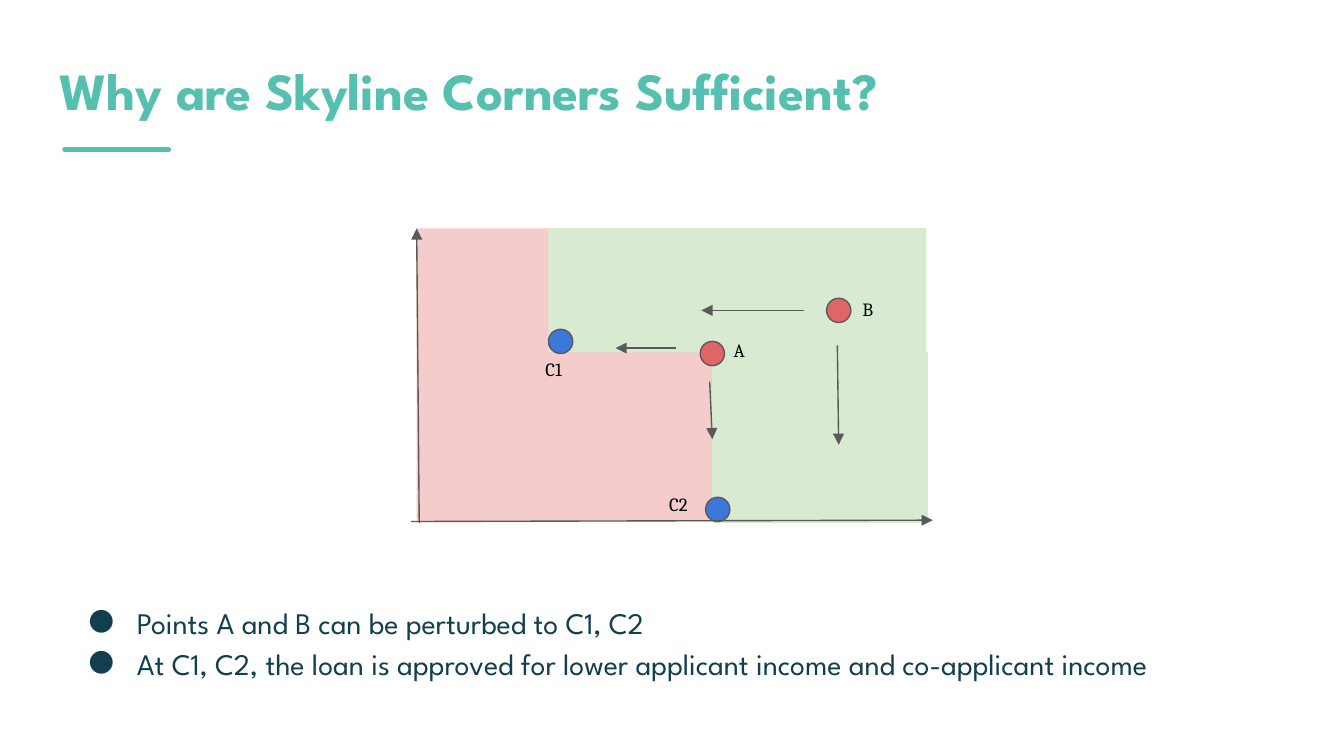
from lxml import etree
from pptx import Presentation
from pptx.dml.color import RGBColor
from pptx.enum.shapes import MSO_CONNECTOR as Connector, MSO_SHAPE as Shape
from pptx.enum.text import MSO_ANCHOR as Anchor, MSO_AUTO_SIZE as AutoSize, PP_ALIGN as Align
from pptx.oxml.ns import qn
from pptx.util import Pt

TEAL, NAVY, GRAY, BLACK = "55C0AF", "113F4E", "595959", "000000"
PINK, GREEN, BLUE, RED = "F4CCCC", "D9EAD3", "3C78D8", "E06666"
HEADING_FONT, LABEL_FONT = "League Spartan", "Cambria"
DOT = 13


def color(value):
    return RGBColor.from_string(value)


def style_font(font, name, size, value, bold=False):
    font.name, font.size, font.bold = name, Pt(size), bold
    font.color.rgb = color(value)


def place(shape, left, top, width, height):
    shape.left, shape.top = Pt(left), Pt(top)
    shape.width, shape.height = Pt(width), Pt(height)


def set_frame(frame, anchor):
    frame.word_wrap = True
    frame.vertical_anchor = anchor
    frame.margin_left = frame.margin_right = Pt(7.2)
    frame.margin_top = frame.margin_bottom = Pt(7.2)


def add_filled(page, kind, left, top, width, height, fill, outline=None, weight=0.75):
    shape = page.shapes.add_shape(kind, Pt(left), Pt(top), Pt(width), Pt(height))
    shape.shadow.inherit = False
    shape.fill.solid()
    shape.fill.fore_color.rgb = color(fill)
    if outline:
        shape.line.color.rgb = color(outline)
        shape.line.width = Pt(weight)
    else:
        shape.line.fill.background()


def add_line(page, x1, y1, x2, y2, value, weight):
    line = page.shapes.add_connector(Connector.STRAIGHT, Pt(x1), Pt(y1), Pt(x2), Pt(y2))
    line.line.color.rgb = color(value)
    line.line.width = Pt(weight)
    etree.SubElement(line._element.spPr, qn("a:effectLst"))
    return line


def add_arrow(page, x1, y1, x2, y2):
    arrow = add_line(page, x1, y1, x2, y2, GRAY, 0.75)
    etree.SubElement(arrow.line._get_or_add_ln(), qn("a:tailEnd"), type="triangle")


def add_label(page, text, left, top, width):
    box = page.shapes.add_textbox(Pt(left), Pt(top), Pt(width), Pt(26.6))
    set_frame(box.text_frame, Anchor.TOP)
    box.text_frame.auto_size = AutoSize.SHAPE_TO_FIT_TEXT
    para = box.text_frame.paragraphs[0]
    para.text = text
    style_font(para.font, LABEL_FONT, 10, BLACK)


def fill_title(page, text, left, top, width, height):
    """Title with a short rounded rule under it."""
    title = page.shapes.title
    place(title, left, top, width, height)
    set_frame(title.text_frame, Anchor.MIDDLE)
    title.text_frame.auto_size = AutoSize.NONE
    para = title.text_frame.paragraphs[0]
    para.text = text
    para.alignment = Align.LEFT
    style_font(para.font, HEADING_FONT, 28, TEAL, bold=True)
    rule_y = top + height - 1.2
    rule = add_line(page, left + 10, rule_y, left + 66, rule_y, TEAL, 2.25)
    rule.line._get_or_add_ln().set("cap", "rnd")


def fill_bullets(page, items, left, top, width, height):
    body = page.placeholders[1]
    place(body, left, top, width, height)
    frame = body.text_frame
    set_frame(frame, Anchor.TOP)
    frame.auto_size = AutoSize.NONE
    frame.text = "\n".join(items)
    for para in frame.paragraphs:
        para.line_spacing = 1.15
        para.space_before = para.space_after = Pt(0)
        props = para._p.get_or_add_pPr()
        props.set("marL", str(Pt(36)))
        props.set("indent", str(Pt(-26)))
        bullet_color = etree.SubElement(props, qn("a:buClr"))
        etree.SubElement(bullet_color, qn("a:srgbClr"), val=NAVY)
        etree.SubElement(props, qn("a:buFont"), typeface=HEADING_FONT)
        etree.SubElement(props, qn("a:buChar"), char="●")
        style_font(para.font, HEADING_FONT, 16, NAVY)


def draw_skyline(page, left, top, width, height):
    """Rejected (pink) and approved (green) regions, with points and moves."""
    step_x, step_y, corner_x = 70.6, 66.5, 159.1
    add_filled(page, Shape.RECTANGLE, left, top, width, height, PINK)
    add_filled(page, Shape.RECTANGLE, left + step_x, top, width - step_x, step_y, GREEN)
    add_filled(page, Shape.RECTANGLE, left + corner_x, top + step_y + 0.5,
               width - corner_x + 0.6, height - step_y - 0.5, GREEN, GREEN, 1.5)

    # name, dot x and y, fill, label x and y, label width
    points = [
        ("C1", 70.6, 54, BLUE, 61.9, 63.4, 36.7),
        ("A", 151.9, 60.5, RED, 162.7, 53.3, 23.8),
        ("B", 219.6, 37.4, RED, 231.8, 31, 23.8),
        ("C2", 154.8, 144, BLUE, 128.2, 135.4, 36.7),
    ]
    for name, x, y, fill, label_x, label_y, label_width in points:
        add_filled(page, Shape.OVAL, left + x, top + y, DOT, DOT, fill, GRAY)
        add_label(page, name, left + label_x, top + label_y, label_width)

    moves = [
        (139, 64.1, 106.6, 64.1),
        (157, 82.1, 158.4, 112.9),
        (207.4, 43.9, 152.6, 43.9),
        (225.4, 62.6, 226.1, 115.9),
    ]
    axes = [(1.4, height + 0.7, 0, 0), (-2.9, height, width + 3.6, height - 0.7)]
    for x1, y1, x2, y2 in moves + axes:
        add_arrow(page, left + x1, top + y1, left + x2, top + y2)


def main():
    deck = Presentation()
    deck.slide_width, deck.slide_height = Pt(720), Pt(405)
    page = deck.slides.add_slide(deck.slide_layouts[1])
    fill_title(page, "Why are Skyline Corners Sufficient?", 24.5, 15.1, 671, 66.2)
    fill_bullets(page, [
        "Points A and B can be perturbed to C1, C2",
        "At C1, C2, the loan is approved for lower applicant income and co-applicant income",
    ], 30.2, 313.9, 671, 76.3)
    draw_skyline(page, 223.2, 122.4, 272.9, 157)
    deck.save("out.pptx")


if __name__ == "__main__":
    main()
